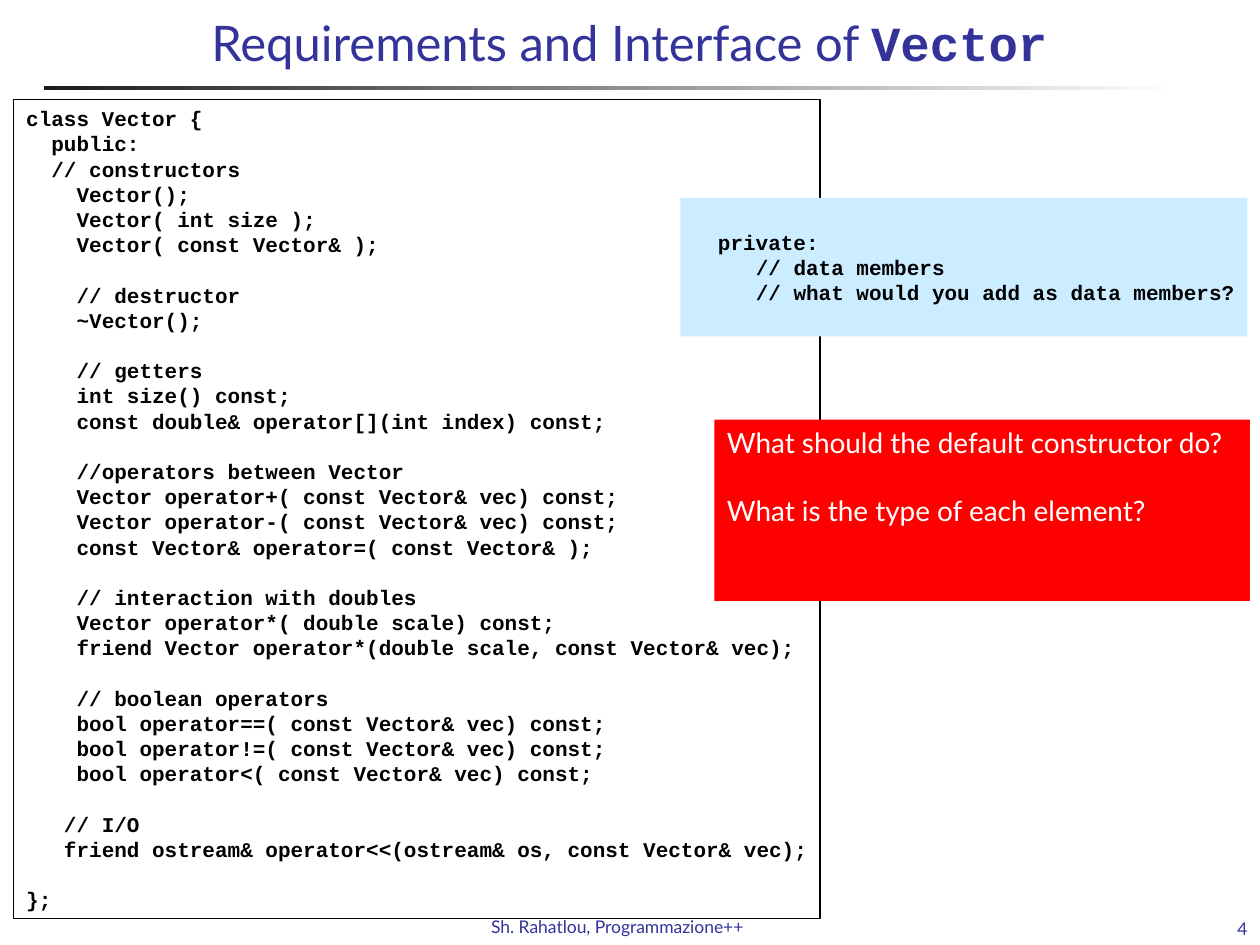
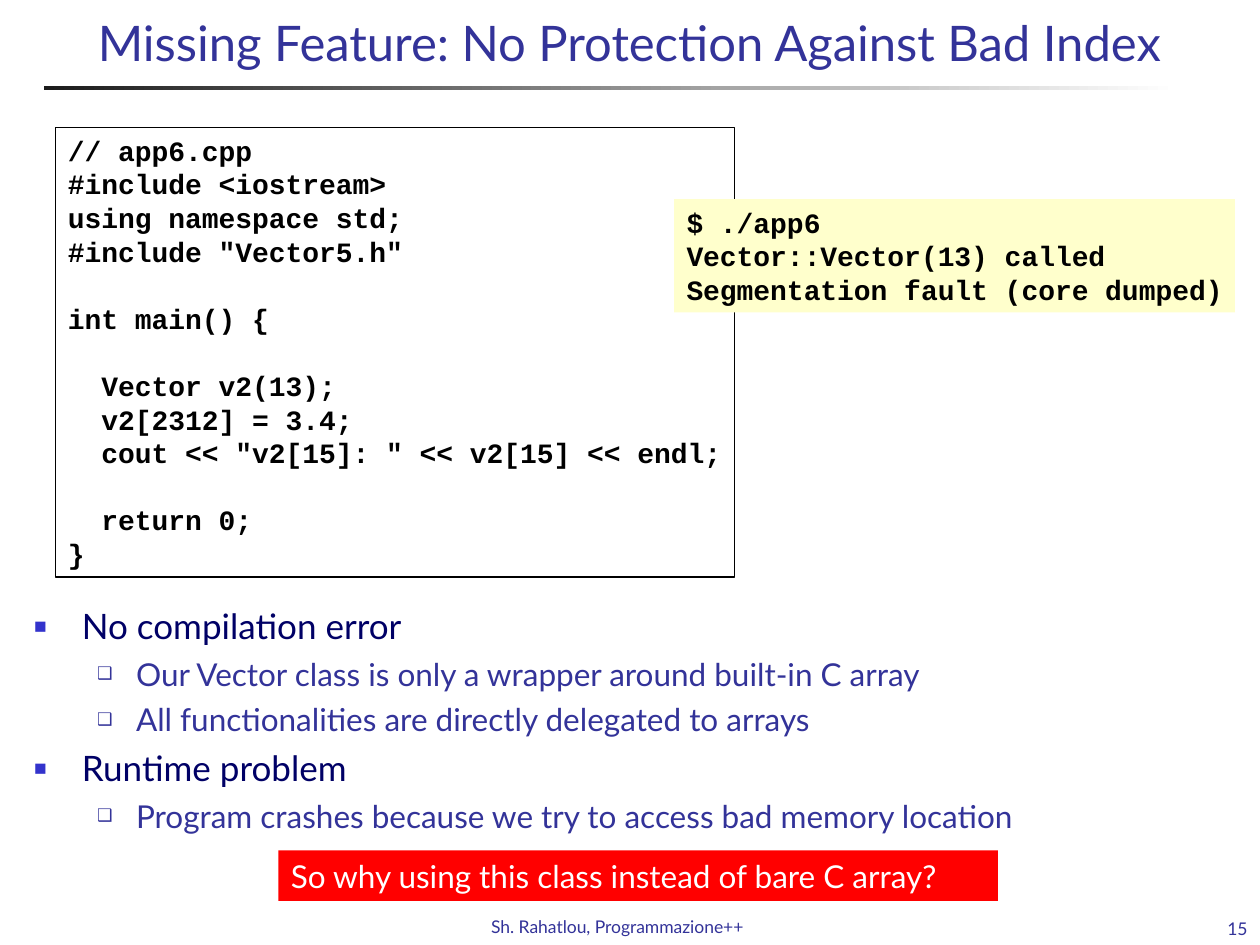
import dataclasses

import lxml.etree
import pptx
import pptx.dml.color
import pptx.enum.shapes
import pptx.enum.text
import pptx.oxml.ns
import pptx.util

ANCHOR = pptx.enum.text.MSO_ANCHOR
ALIGN = pptx.enum.text.PP_ALIGN

SANS, MONO = "Lato", "Courier New"
NAVY, INDIGO, DARK_BLUE = "333399", "3333CC", "000066"
BLACK, WHITE, CHARCOAL = "000000", "FFFFFF", "1C1C1C"
RED, PALE_BLUE, PALE_YELLOW = "FF0000", "CCECFF", "FFFFCC"

GRID_COLUMNS, GRID_ROWS = 100, 75
CODE_LEADING = 1.2  # line pitch as a share of the text size
CODE_ADVANCE = 0.6  # character width as a share of the text size

# Bullet levels: text size, colour, bullet, its colour and percent, margin, hang, space before
LEVELS = [
    (20, DARK_BLUE, "■", INDIGO, 60, 0.38, 0.38, 5),
    (18, NAVY, "❑", NAVY, 55, 0.81, 0.31, 4.5),
]

VECTOR_CLASS = """
class Vector {
  public:
  // constructors
    Vector();
    Vector( int size );
    Vector( const Vector& );

    // destructor
    ~Vector();

    // getters
    int size() const;
    const double& operator[](int index) const;

    //operators between Vector
    Vector operator+( const Vector& vec) const;
    Vector operator-( const Vector& vec) const;
    const Vector& operator=( const Vector& );

    // interaction with doubles
    Vector operator*( double scale) const;
    friend Vector operator*(double scale, const Vector& vec);

    // boolean operators
    bool operator==( const Vector& vec) const;
    bool operator!=( const Vector& vec) const;
    bool operator<( const Vector& vec) const;

   // I/O
   friend ostream& operator<<(ostream& os, const Vector& vec);

};
"""

PRIVATE_MEMBERS = """
  private:
     // data members
     // what would you add as data members?
"""

APP_CODE = """
// app6.cpp
#include <iostream>
using namespace std;
#include "Vector5.h"

int main() {

  Vector v2(13);
  v2[2312] = 3.4;
  cout << "v2[15]: " << v2[15] << endl;

  return 0;
}
"""

APP_OUTPUT = """
$ ./app6
Vector::Vector(13) called
Segmentation fault (core dumped)
"""

FINDINGS = [
    (0, "No compilation error"),
    (1, "Our Vector class is only a wrapper around built-in C array"),
    (1, "All functionalities are directly delegated to arrays"),
    (0, "Runtime problem"),
    (1, "Program crashes because we try to access bad memory location"),
]


@dataclasses.dataclass
class Box:
    left: int
    top: int
    width: int
    height: int

    def area(self, column, row, columns, rows):
        """Box at a grid position inside this one."""
        across, down = self.width / GRID_COLUMNS, self.height / GRID_ROWS
        return Box(int(self.left + column * across), int(self.top + row * down),
                   int(columns * across), int(rows * down))

    def place(self):
        return self.left, self.top, self.width, self.height


def colour(value):
    return pptx.dml.color.RGBColor.from_string(value)


def style(font, face, size, value, bold=False):
    font.name, font.size, font.bold = face, pptx.util.Pt(size), bold
    font.color.rgb = colour(value)


def set_frame(frame, anchor=ANCHOR.TOP, right=0.1, bottom=0.05):
    frame.word_wrap = True
    frame.auto_size = pptx.enum.text.MSO_AUTO_SIZE.NONE
    frame.vertical_anchor = anchor
    frame.margin_left, frame.margin_right = pptx.util.Inches(0.1), pptx.util.Inches(right)
    frame.margin_top, frame.margin_bottom = pptx.util.Inches(0.05), pptx.util.Inches(bottom)


def next_paragraph(frame, index):
    return frame.add_paragraph() if index else frame.paragraphs[0]


def add_panel(slide, box, fill=None, outline=None):
    panel = slide.shapes.add_shape(pptx.enum.shapes.MSO_SHAPE.RECTANGLE, *box.place())
    panel.shadow.inherit = False
    if fill:
        panel.fill.solid()
        panel.fill.fore_color.rgb = colour(fill)
    else:
        panel.fill.background()
    if outline:
        panel.line.color.rgb = colour(outline)
        panel.line.width = pptx.util.Pt(0.75)
    else:
        panel.line.fill.background()
    return panel


def add_code(slide, box, code, size, fill=None, outline=None, anchor=ANCHOR.TOP):
    """Code panel: leading spaces become indents, empty lines become spacing."""
    frame = add_panel(slide, box, fill, outline).text_frame
    set_frame(frame, anchor, right=0)
    pitch = size * CODE_LEADING
    empty_lines = count = 0
    for line in code.strip("\n").split("\n"):
        statement = line.lstrip()
        if not statement:
            empty_lines += 1
            continue
        paragraph = next_paragraph(frame, count)
        paragraph.text = statement
        paragraph.alignment = ALIGN.LEFT
        paragraph.line_spacing = pptx.util.Pt(pitch)
        paragraph.space_before = pptx.util.Pt(empty_lines * pitch)
        indent = pptx.util.Pt((len(line) - len(statement)) * size * CODE_ADVANCE)
        paragraph._p.get_or_add_pPr().set("marL", str(indent))
        style(paragraph.font, MONO, size, BLACK, bold=True)
        empty_lines, count = 0, count + 1


def add_questions(slide, box, questions, size, gap=0):
    """Red panel with white questions."""
    frame = add_panel(slide, box, fill=RED).text_frame
    set_frame(frame)
    for index, question in enumerate(questions):
        paragraph = next_paragraph(frame, index)
        paragraph.text = question
        paragraph.alignment = ALIGN.LEFT
        paragraph.space_before = pptx.util.Pt(gap if index else 0)
        style(paragraph.font, SANS, size, WHITE)


def add_footer_text(slide, box, text, alignment, anchor):
    frame = slide.shapes.add_textbox(*box.place()).text_frame
    set_frame(frame, anchor)
    paragraph = frame.paragraphs[0]
    paragraph.text, paragraph.alignment = text, alignment
    style(paragraph.font, SANS, 10, NAVY)


def move(placeholder, box):
    placeholder.left, placeholder.top, placeholder.width, placeholder.height = box.place()


def add_frame(slide, page, title, number, code_word=None):
    """Title, fading rule and footer that every slide has."""
    move(slide.shapes.title, page.area(5.8, 0.2, 88.3, 6.7))
    frame = slide.shapes.title.text_frame
    set_frame(frame, ANCHOR.MIDDLE, bottom=0.1)
    heading = frame.paragraphs[0]
    heading.alignment = ALIGN.CENTER
    heading.add_run().text = title
    style(heading.font, SANS, 28, NAVY)
    if code_word:
        word = heading.add_run()
        word.text = code_word
        word.font.name, word.font.bold = MONO, True

    rule = add_panel(slide, page.area(3.5, 6.8, 90, 0.35))
    rule.fill.gradient()
    rule.fill.gradient_angle = 0
    for stop, value in zip(rule.fill.gradient_stops, (CHARCOAL, WHITE)):
        stop.color.rgb = colour(value)

    add_footer_text(slide, page.area(38, 72.2, 23.7, 2.7),
                    "Sh. Rahatlou, Programmazione++", ALIGN.LEFT, ANCHOR.TOP)
    add_footer_text(slide, page.area(89.2, 72.5, 10.8, 2.5),
                    str(number), ALIGN.RIGHT, ANCHOR.BOTTOM)


def set_bullet(paragraph, mark, value, percent, margin, hang):
    properties = paragraph._p.get_or_add_pPr()
    properties.set("marL", str(pptx.util.Inches(margin)))
    properties.set("indent", str(-pptx.util.Inches(hang)))

    def add(parent, tag, **attributes):
        return lxml.etree.SubElement(parent, pptx.oxml.ns.qn(tag), **attributes)

    add(add(properties, "a:buClr"), "a:srgbClr", val=value)
    add(properties, "a:buSzPct", val=str(percent * 1000))
    add(properties, "a:buChar", char=mark)


def fill_list(body, box, items):
    move(body, box)
    set_frame(body.text_frame)
    for index, (level, text) in enumerate(items):
        size, ink, mark, mark_ink, percent, margin, hang, before = LEVELS[level]
        paragraph = next_paragraph(body.text_frame, index)
        paragraph.text, paragraph.level = text, level
        paragraph.alignment = ALIGN.LEFT
        paragraph.space_before = pptx.util.Pt(before)
        set_bullet(paragraph, mark, mark_ink, percent, margin, hang)
        style(paragraph.font, SANS, size, ink)


def build_interface(deck, page):
    slide = deck.slides.add_slide(deck.slide_layouts.get_by_name("Title Only"))
    add_frame(slide, page, "Requirements and Interface of ", 4, code_word="Vector")
    add_code(slide, page.area(1.1, 7.9, 64, 65), VECTOR_CLASS, 12, outline=BLACK)
    add_code(slide, page.area(54, 15.7, 45, 11), PRIVATE_MEMBERS, 12,
             fill=PALE_BLUE, anchor=ANCHOR.MIDDLE)
    add_questions(slide, page.area(56.7, 33.3, 42.5, 14.4),
                  ["What should the default constructor do?",
                   "What is the type of each element?"], 16, gap=19.5)


def build_bad_index(deck, page):
    slide = deck.slides.add_slide(deck.slide_layouts.get_by_name("Title and Content"))
    add_frame(slide, page, "Missing Feature: No Protection Against Bad Index", 15)
    fill_list(slide.placeholders[1], page.area(1.7, 47.5, 96.3, 24.2), FINDINGS)
    add_code(slide, page.area(4.4, 10.1, 53.9, 35.7), APP_CODE, 16, outline=BLACK)
    add_code(slide, page.area(53.5, 15.8, 44.5, 9), APP_OUTPUT, 16, fill=PALE_YELLOW)
    add_questions(slide, page.area(22.1, 67.5, 57.1, 4),
                  ["So why using this class instead of bare C array?"], 18)


def main():
    deck = pptx.Presentation()
    deck.slide_width, deck.slide_height = pptx.util.Inches(10), pptx.util.Inches(7.5)
    page = Box(0, 0, deck.slide_width, deck.slide_height)
    build_interface(deck, page)
    build_bad_index(deck, page)
    deck.save("out.pptx")


if __name__ == "__main__":
    main()
